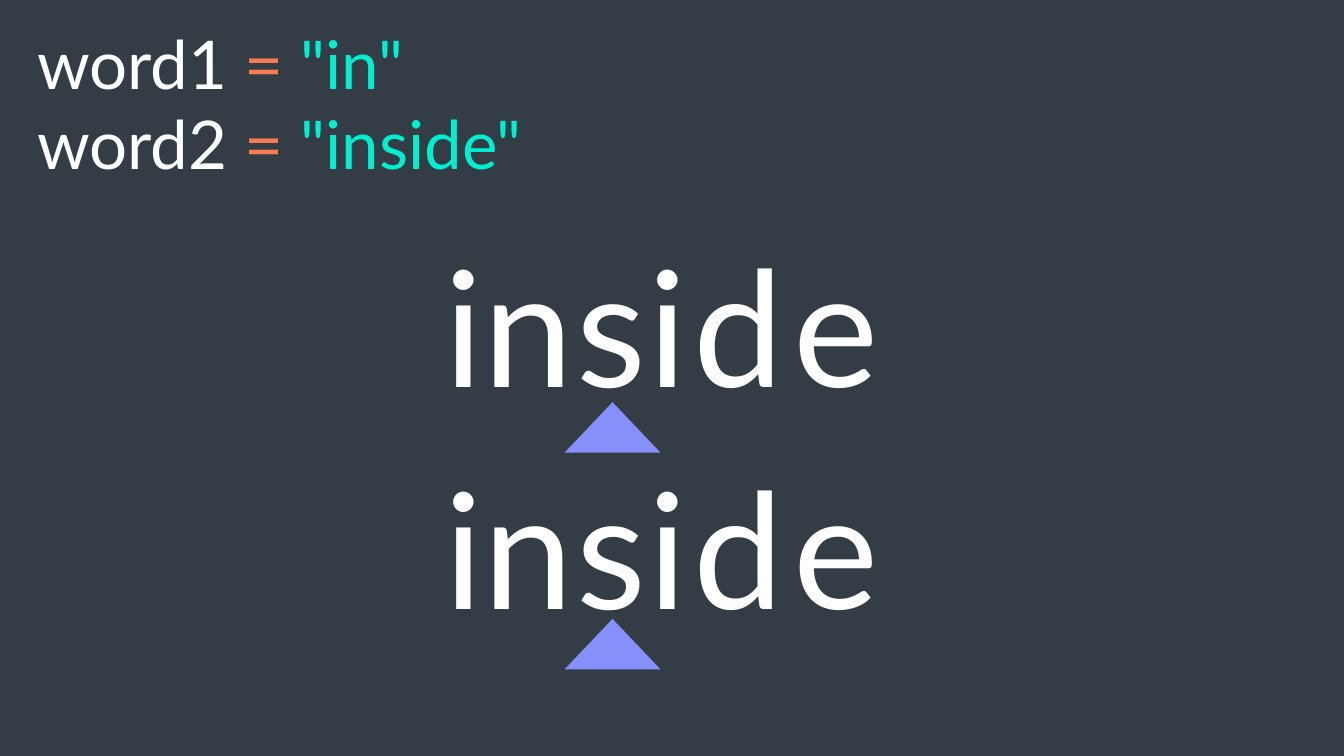
from dataclasses import dataclass

from pptx import Presentation
from pptx.dml.color import RGBColor
from pptx.enum.shapes import MSO_SHAPE
from pptx.enum.text import MSO_AUTO_SIZE, PP_ALIGN
from pptx.util import Inches, Pt

TRIANGLE = MSO_SHAPE.ISOSCELES_TRIANGLE
FIT_SHAPE = MSO_AUTO_SIZE.SHAPE_TO_FIT_TEXT
LEFT, CENTER = PP_ALIGN.LEFT, PP_ALIGN.CENTER
BLANK_LAYOUT = 6


@dataclass(frozen=True)
class Theme:
    font: str = "Lato"
    code_size: int = 48
    letter_size: int = 115
    background: RGBColor = RGBColor(0x34, 0x3D, 0x46)
    plain: RGBColor = RGBColor(0xFF, 0xFF, 0xFF)
    operator: RGBColor = RGBColor(0xF9, 0x7B, 0x57)
    string: RGBColor = RGBColor(0x00, 0xEF, 0xD1)
    pointer: RGBColor = RGBColor(0x86, 0x90, 0xFA)


THEME = Theme()

VARIABLES = [("word1", '"in"'), ("word2", '"inside"')]

# The word "inside" is spelled twice: a joined prefix, then single letters
UPPER_TOP, LOWER_TOP = 2.2, 4.4
POINTER_TOPS = [3.99, 6.14]
LETTER_LEFTS = {"s": 5.53, "i": 6.09, "d": 6.78, "e": 7.76}
LETTER_WIDTH, LETTER_HEIGHT = 1.06, 2.04


def add_text(page, left, top, width, height, lines, size, align=LEFT):
    """Add a text box; each line is a list of (text, colour) spans."""
    box = page.shapes.add_textbox(
        Inches(left), Inches(top), Inches(width), Inches(height))
    frame = box.text_frame
    frame.word_wrap = True
    frame.auto_size = FIT_SHAPE
    for index, line in enumerate(lines):
        para = frame.add_paragraph() if index else frame.paragraphs[0]
        para.alignment = align
        for text, color in line:
            span = para.add_run()
            span.text = text
            span.font.name = THEME.font
            span.font.size = Pt(size)
            span.font.color.rgb = color


def add_letters(page, text, left, top, width=LETTER_WIDTH):
    add_text(page, left, top, width, LETTER_HEIGHT,
             [[(text, THEME.plain)]], THEME.letter_size, CENTER)


def add_single_letters(page, top):
    for letter, left in LETTER_LEFTS.items():
        add_letters(page, letter, left, top)


def add_pointer(page, top):
    pointer = page.shapes.add_shape(
        TRIANGLE, Inches(5.6), Inches(top), Inches(0.95), Inches(0.5))
    pointer.shadow.inherit = False
    pointer.fill.solid()
    pointer.fill.fore_color.rgb = THEME.pointer
    pointer.line.fill.background()


def main():
    deck = Presentation()
    deck.slide_width, deck.slide_height = Inches(13.33), Inches(7.5)
    page = deck.slides.add_slide(deck.slide_layouts[BLANK_LAYOUT])
    page.background.fill.solid()
    page.background.fill.fore_color.rgb = THEME.background

    # Variable assignments
    lines = [[(f"{name} ", THEME.plain), ("= ", THEME.operator),
              (value, THEME.string)] for name, value in VARIABLES]
    add_text(page, 0.27, 0.17, 5.48, 1.72, lines, THEME.code_size)

    # Shared prefix of both spellings
    add_letters(page, "in", 2.31, LOWER_TOP, 5.48)
    add_letters(page, "in", 4.11, UPPER_TOP, 1.87)

    # Remaining letters, with the pointers between the two rows in depth
    add_single_letters(page, LOWER_TOP)
    for top in POINTER_TOPS:
        add_pointer(page, top)
    add_single_letters(page, UPPER_TOP)

    deck.save("out.pptx")


if __name__ == "__main__":
    main()
